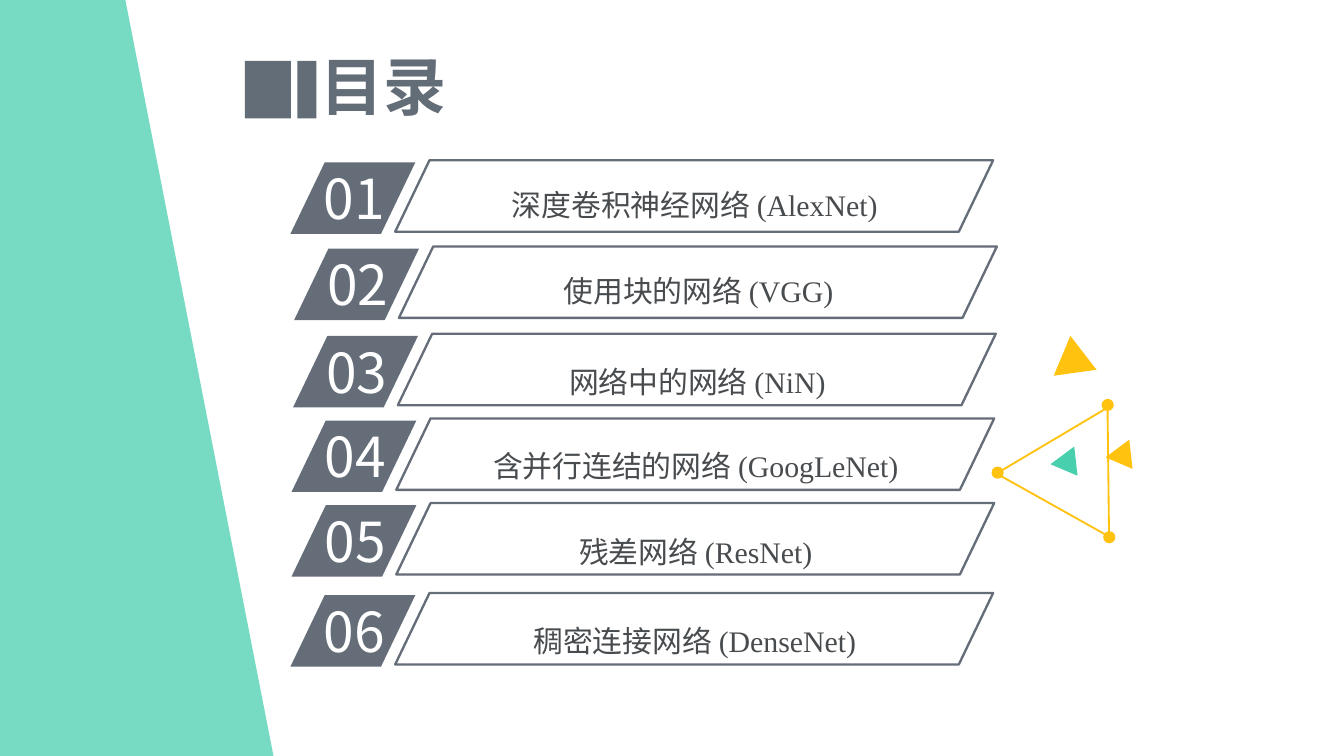
from lxml import etree
from pptx import Presentation
from pptx import util as u
from pptx.dml.color import RGBColor
from pptx.enum import shapes, text
from pptx.oxml.ns import qn

Cm = u.Cm
SHAPE = shapes.MSO_SHAPE
COLORS = {
    "slate": "646D78",
    "title": "636D78",
    "caption": "494C4F",
    "white": "FFFFFF",
    "yellow": "FFC20F",
    "green": "48CFAE",
    "band": "49CFAE",
}
SANS, SERIF = "Noto Sans CJK SC", "Times New Roman"
ROWS = [
    (5.49, 3.07, 3.10, "深度卷积神经网络 (AlexNet)"),
    (5.56, 4.70, 4.72, "使用块的网络 (VGG)"),
    (5.54, 6.35, 6.43, "网络中的网络 (NiN)"),
    (5.51, 7.95, 8.03, "含并行连结的网络 (GoogLeNet)"),
    (5.51, 9.55, 9.65, "残差网络 (ResNet)"),
    (5.49, 11.25, 11.33, "稠密连接网络 (DenseNet)"),
]


def color(name):
    return RGBColor.from_string(COLORS[name])


def paint(sp, fill=None, line=None, width=1):
    sp.shadow.inherit = False
    if fill:
        sp.fill.solid()
        sp.fill.fore_color.rgb = color(fill)
    else:
        sp.fill.background()
    if line:
        sp.line.color.rgb = color(line)
        sp.line.width = u.Pt(width)
    else:
        sp.line.fill.background()


def add_preset(s, kind, x, y, w, h, rotation=0, adj=None, **style):
    sp = s.shapes.add_shape(kind, Cm(x), Cm(y), Cm(w), Cm(h))
    sp.rotation = rotation
    if adj is not None:
        sp.adjustments[0] = adj
    paint(sp, **style)
    return sp


def add_text(s, content, x, y, w, h, size, fill, font=SANS, bold=False,
             align=text.PP_ALIGN.LEFT, anchor=text.MSO_ANCHOR.TOP,
             spacing=None, inset=(0.25, 0.13)):
    tf = s.shapes.add_textbox(Cm(x), Cm(y), Cm(w), Cm(h)).text_frame
    tf.word_wrap = True
    tf.vertical_anchor = anchor
    tf.margin_left = tf.margin_right = Cm(inset[0])
    tf.margin_top = tf.margin_bottom = Cm(inset[1])
    p = tf.paragraphs[0]
    p.alignment = align
    p.line_spacing = spacing
    r = p.add_run()
    r.text = content
    r.font.size = u.Pt(size)
    r.font.bold = bold
    r.font.name = font
    r.font.color.rgb = color(fill)
    etree.SubElement(r._r.get_or_add_rPr(), qn("a:ea"), typeface=SANS)


def add_band(s):
    builder = s.shapes.build_freeform(0, 0)
    corners = [(2.37, 0), (5.17, 14.29), (0, 14.29)]
    builder.add_line_segments([(Cm(x), Cm(y)) for x, y in corners], close=True)
    sp = builder.convert_to_shape()
    paint(sp, fill="band")
    rgb = sp._element.spPr.find(qn("a:solidFill")).find(qn("a:srgbClr"))
    etree.SubElement(rgb, qn("a:alpha"), val="75000")


def add_title(s):
    add_preset(s, SHAPE.RECTANGLE, 4.63, 1.15, 0.87, 1.09, fill="title")
    add_preset(s, SHAPE.RECTANGLE, 5.62, 1.15, 0.36, 1.09, fill="title")
    add_text(s, "目录", 3.96, 0.89, 6.6, 1.45, 33.8, "title", bold=True,
             align=text.PP_ALIGN.CENTER, anchor=text.MSO_ANCHOR.MIDDLE)


def add_row(s, number, x, y, caption_y, caption):
    add_preset(s, SHAPE.PARALLELOGRAM, x, y, 2.36, 1.35, adj=0.48, fill="slate")
    add_text(s, f"{number:02}", x + 0.38, y - 0.09, 2.24, 1.52, 29.5, "white")
    add_text(s, caption, x + 3.5, caption_y, 8.28, 1.09, 16, "caption",
             font=SERIF, align=text.PP_ALIGN.CENTER, spacing=1.5,
             inset=(0.2, 0.1))
    add_preset(s, SHAPE.PARALLELOGRAM, x + 1.98, y - 0.04, 11.3, 1.35, adj=0.48,
               line="slate", width=1.25)


def add_triangles(s):
    triangles = [
        (19.79, 6.53, 0.81, 0.71, 232.4, {"fill": "yellow"}),
        (19.94, 8.56, 0.56, 0.48, 143.3, {"fill": "green"}),
        (20.98, 8.43, 0.56, 0.48, 143.3, {"fill": "yellow"}),
        (19.2, 8.18, 2.44, 2.11, 149.3, {"line": "yellow"}),
    ]
    for x, y, w, h, rotation, style in triangles:
        add_preset(s, SHAPE.ISOSCELES_TRIANGLE, x, y, w, h, rotation, **style)
    for x, y in [(20.82, 7.54), (20.85, 10.04), (18.74, 8.82)]:
        add_preset(s, SHAPE.OVAL, x, y, 0.23, 0.23, fill="yellow")


def main():
    prs = Presentation()
    prs.slide_width, prs.slide_height = Cm(25.4), Cm(14.29)
    s = prs.slides.add_slide(prs.slide_layouts[6])
    add_band(s)
    add_triangles(s)
    add_title(s)
    for number, row in enumerate(ROWS, 1):
        add_row(s, number, *row)
    prs.save("out.pptx")


if __name__ == "__main__":
    main()
